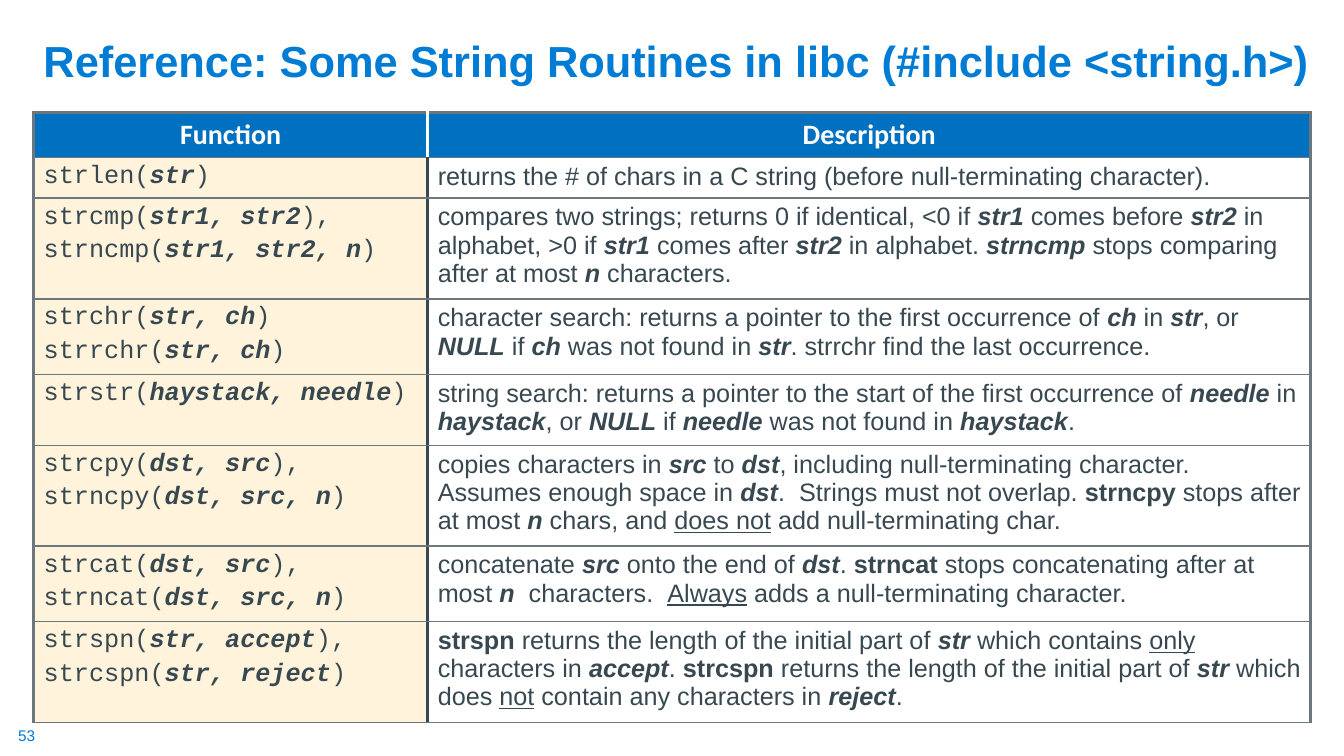
"""Build a reference slide listing C string routines."""
from dataclasses import dataclass

from lxml import etree
from pptx import Presentation
from pptx import util as u
from pptx.dml import color
from pptx.enum import text
from pptx.oxml import ns


@dataclass(frozen=True)
class Theme:
    accent: str = "007CD5"
    header: str = "0070C0"
    cream: str = "FFF4DB"
    ink: str = "384851"
    rule: str = "6B767D"
    white: str = "FFFFFF"
    sans: str = "Arial"
    mono: str = "Courier New"
    heading: str = "Calibri"
    title_size: int = 31
    header_size: int = 20
    body_size: int = 18
    number_size: int = 11
    thick: float = 2.25
    thin: float = 1


THEME = Theme()
MARKS = {"*": ("bold", "italic"), "^": ("bold",), "_": ("underline",)}
COLUMN_WIDTHS = (281.5, 630.75)
ROW_HEIGHTS = (32, 29, 67.5, 51.5, 47.5, 67.5, 51.5, 67.5)
ROUTINES = (
    ("strlen(*str*)",
     "returns the # of chars in a C string (before null-terminating character)."),
    ("strcmp(*str1, str2*),\nstrncmp(*str1, str2, n*)",
     "compares two strings; returns 0 if identical, <0 if *str1* comes before *str2* in "
     "alphabet, >0 if *str1* comes after *str2* in alphabet. *strncmp *stops comparing "
     "after at most *n* characters."),
    ("strchr(*str, ch*)\nstrrchr(*str, ch*)",
     "character search: returns a pointer to the first occurrence of *ch* in *str*, or "
     "*NULL* if *ch* was not found in *str*. strrchr find the last occurrence."),
    ("strstr(*haystack, needle*)",
     "string search: returns a pointer to the start of the first occurrence of *needle* in "
     "*haystack*, or *NULL* if *needle *was not found in *haystack*."),
    ("strcpy(*dst, src*),\nstrncpy(*dst, src, n*)",
     "copies characters in *src* to *dst*, including null-terminating character.  "
     "Assumes enough space in *dst*.  Strings must not overlap. ^strncpy ^stops "
     "after at most *n* chars, and _does not_ add null-terminating char."),
    ("strcat(*dst, src*),\nstrncat(*dst, src, n*)",
     "concatenate *src* onto the end of *dst*. ^strncat ^stops concatenating after at "
     "most *n*  characters.  _Always_ adds a null-terminating character."),
    ("strspn(*str, accept*),\nstrcspn(*str, reject*)",
     "^strspn ^returns the length of the initial part of *str* which contains _only_ "
     "characters in *accept*. ^strcspn ^returns the length of the initial part of *str* "
     "which does _not_ contain any characters in *reject*."),
)


def font_format(name, size, rgb, **extra):
    return {"name": name, "size": u.Pt(size), **extra}, rgb


def apply(target, values):
    for name, value in values.items():
        setattr(target, name, value)


def split_marks(line):
    """Yield each stretch of text with the emphasis attributes its marks give."""
    words, active = "", None
    for letter in line:
        if letter in MARKS:
            if words:
                yield words, MARKS.get(active, ())
            words, active = "", None if active else letter
        else:
            words += letter
    if words:
        yield words, MARKS.get(active, ())


def write(frame, content, style, **paragraph_format):
    values, rgb = style
    for index, line in enumerate(content.split("\n")):
        paragraph = frame.paragraphs[0] if index == 0 else frame.add_paragraph()
        apply(paragraph, paragraph_format)
        if index:
            paragraph.space_before = u.Pt(0.2 * THEME.body_size)
        for words, emphasis in split_marks(line):
            run = paragraph.add_run()
            run.text = words
            apply(run.font, {**values, **dict.fromkeys(emphasis, True)})
            run.font.color.rgb = color.RGBColor.from_string(rgb)


def add_label(slide, box, content, style, frame_format, **paragraph_format):
    frame = slide.shapes.add_textbox(*map(u.Pt, box)).text_frame
    apply(frame, frame_format)
    write(frame, content, style, **paragraph_format)


def set_borders(cell, edges):
    properties = cell._tc.get_or_add_tcPr()
    for side, (rgb, width) in edges.items():
        line = etree.SubElement(properties, ns.qn(f"a:ln{side}"), w=str(u.Pt(width)))
        fill = etree.SubElement(line, ns.qn("a:solidFill"))
        etree.SubElement(fill, ns.qn("a:srgbClr"), val=rgb)


def paint(cell, rgb):
    if rgb is None:
        cell.fill.background()
    else:
        cell.fill.solid()
        cell.fill.fore_color.rgb = color.RGBColor.from_string(rgb)


def add_routines(slide):
    rows = (("Function", "Description"),) + ROUTINES
    frame = slide.shapes.add_table(
        len(rows), len(COLUMN_WIDTHS), u.Pt(24), u.Pt(80.5),
        u.Pt(sum(COLUMN_WIDTHS)), u.Pt(sum(ROW_HEIGHTS)))
    table = frame.table
    apply(table, {"first_row": False, "horz_banding": False})
    for column, width in zip(table.columns, COLUMN_WIDTHS):
        column.width = u.Pt(width)
    for row, height in zip(table.rows, ROW_HEIGHTS):
        row.height = u.Pt(height)

    heading = font_format(THEME.heading, THEME.header_size, THEME.white, bold=True)
    body = [font_format(name, THEME.body_size, THEME.ink) for name in (THEME.mono, THEME.sans)]
    outer, inner = (THEME.rule, THEME.thick), (THEME.rule, THEME.thin)
    for r, routine in enumerate(rows):
        is_header = r == 0
        divider = (THEME.white if is_header else THEME.ink, THEME.thick)
        for c, content in enumerate(routine):
            cell = table.cell(r, c)
            set_borders(cell, {"L": divider if c else outer, "R": outer if c else divider,
                               "T": outer if is_header else inner, "B": inner})
            paint(cell, THEME.header if is_header else (THEME.cream, None)[c])
            if is_header:
                write(cell.text_frame, content, heading, alignment=text.PP_ALIGN.CENTER)
            else:
                write(cell.text_frame, content, body[c])


def main():
    deck = Presentation()
    apply(deck, {"slide_width": u.Pt(960), "slide_height": u.Pt(540)})
    slide = deck.slides.add_slide(deck.slide_layouts[6])
    add_label(slide, (24, 9.5, 928, 56),
              "Reference: Some String Routines in libc (#include <string.h>)",
              font_format(THEME.sans, THEME.title_size, THEME.accent, bold=True),
              {"word_wrap": True, "vertical_anchor": text.MSO_ANCHOR.BOTTOM},
              line_spacing=0.9)
    add_routines(slide)
    margins = dict.fromkeys(("margin_left", "margin_top", "margin_right", "margin_bottom"), 0)
    add_label(slide, (13, 519, 13.5, 13.5), "53",
              font_format(THEME.sans, THEME.number_size, THEME.accent),
              {"word_wrap": False, **margins})
    deck.save("out.pptx")


if __name__ == "__main__":
    main()
